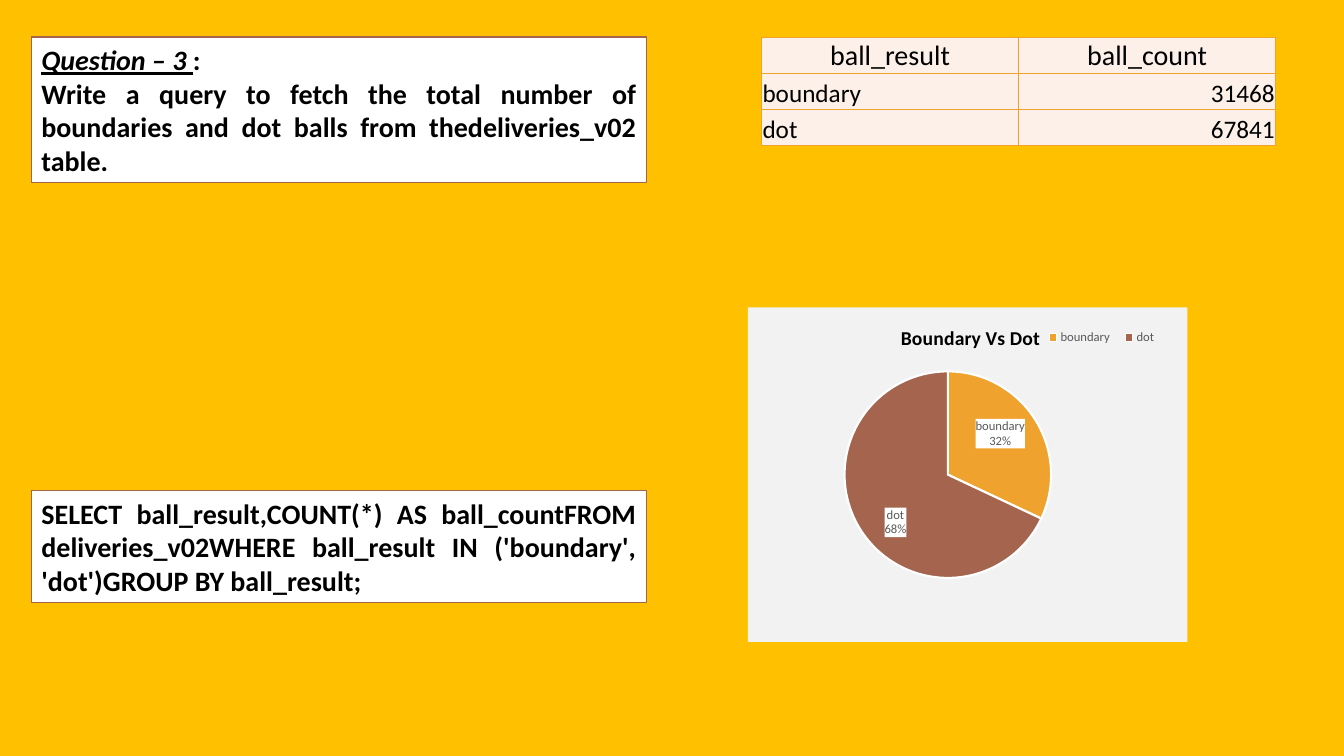
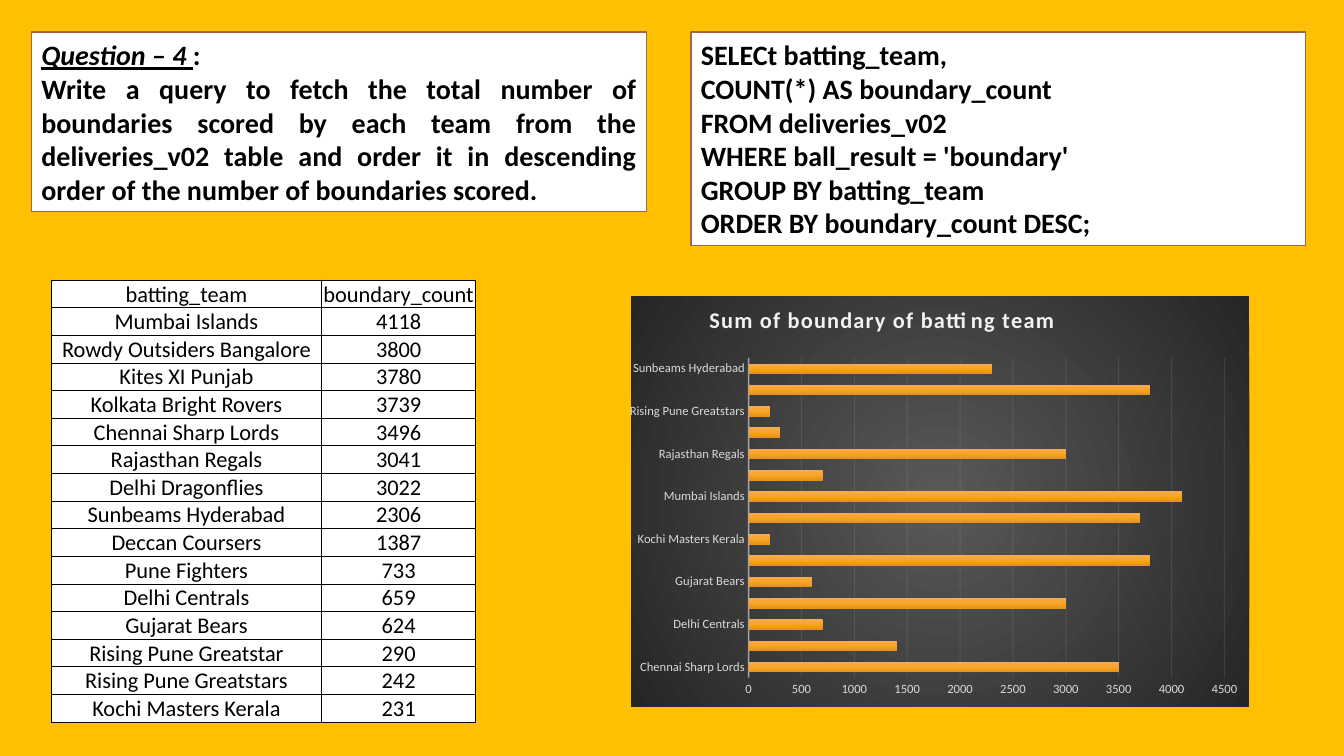
from copy import deepcopy
from pptx import Presentation
from pptx.chart.data import CategoryChartData
from pptx.dml.color import RGBColor
from pptx.enum.chart import XL_CHART_TYPE, XL_LABEL_POSITION, XL_LEGEND_POSITION, XL_TICK_MARK
from pptx.enum.shapes import MSO_SHAPE
from pptx.enum.text import MSO_ANCHOR, MSO_AUTO_SIZE, PP_ALIGN
from pptx.oxml import parse_xml
from pptx.oxml.ns import nsdecls, qn
from pptx.util import Pt

PIE, BAR = XL_CHART_TYPE.PIE, XL_CHART_TYPE.BAR_CLUSTERED
MIDDLE, RIGHT_KEY = XL_LABEL_POSITION.CENTER, XL_LEGEND_POSITION.RIGHT
NO_TICK = XL_TICK_MARK.NONE
RECT, BOTTOM, GROW = MSO_SHAPE.RECTANGLE, MSO_ANCHOR.BOTTOM, MSO_AUTO_SIZE.SHAPE_TO_FIT_TEXT
LEFT, CENTER, RIGHT, JUSTIFY = PP_ALIGN.LEFT, PP_ALIGN.CENTER, PP_ALIGN.RIGHT, PP_ALIGN.JUSTIFY

HUES = {
    "back": "FFC000", "white": "FFFFFF", "black": "000000", "brown": "A5644E",
    "gold": "F0A22E", "cream": "FCF0E8", "pale": "F2F2F2", "gray": "595959",
    "dark": "262626", "mist": "D9D9D9", "light": "F4AC55", "amber": "FAA424",
    "deep": "E59319",
}
FACE = "Calibri"
EDGE, WIDE = 22.5, 439.2

BALLS = [("boundary", 31468), ("dot", 67841)]
TEAMS = [
    ("Mumbai Islands", 4118), ("Rowdy Outsiders Bangalore", 3800),
    ("Kites XI Punjab", 3780), ("Kolkata Bright Rovers", 3739),
    ("Chennai Sharp Lords", 3496), ("Rajasthan Regals", 3041),
    ("Delhi Dragonflies", 3022), ("Sunbeams Hyderabad", 2306),
    ("Deccan Coursers", 1387), ("Pune Fighters", 733),
    ("Delhi Centrals", 659), ("Gujarat Bears", 624),
    ("Rising Pune Greatstar", 290), ("Rising Pune Greatstars", 242),
    ("Kochi Masters Kerala", 231),
]


def rgb(hue):
    return RGBColor.from_string(HUES[hue])


def style(font, size, hue="black", bold=False):
    font.name, font.size, font.bold = FACE, Pt(size), bold
    font.color.rgb = rgb(hue)


def page(deck):
    slide = deck.slides.add_slide(deck.slide_layouts[6])
    slide.background.fill.solid()
    slide.background.fill.fore_color.rgb = rgb("back")
    return slide


def panel(slide, box, lines, head=None):
    shape = slide.shapes.add_shape(RECT, *map(Pt, box))
    shape.shadow.inherit = False
    shape.fill.solid()
    shape.fill.fore_color.rgb = rgb("white")
    shape.line.color.rgb = rgb("brown")
    shape.line.width = Pt(1)
    frame = shape.text_frame
    frame.word_wrap, frame.auto_size = True, GROW
    rows = ([head] if head else []) + lines
    for spot, text in enumerate(rows):
        para = frame.add_paragraph() if spot else frame.paragraphs[0]
        para.alignment = JUSTIFY
        style(para.font, 20, bold=True)
        run = para.add_run()
        run.text = text
        if head and spot == 0:
            run.font.italic = run.font.underline = True
            para.add_run().text = ": "


def border(cell, hue, width):
    props = cell._tc.get_or_add_tcPr()
    for side in ("lnL", "lnR", "lnT", "lnB"):
        props.append(parse_xml(
            f'<a:{side} {nsdecls("a")} w="{Pt(width)}"><a:solidFill>'
            f'<a:srgbClr val="{HUES[hue]}"/></a:solidFill></a:{side}>'))


def grid(slide, box, cols, rows, sizes, aligns, fill, line):
    frame = slide.shapes.add_table(len(rows), len(cols), *map(Pt, box))
    table = frame.table
    table.first_row = table.horz_banding = False
    for col, width in zip(table.columns, cols):
        col.width = Pt(width)
    for r, row in enumerate(rows):
        table.rows[r].height = Pt(box[3] / len(rows))
        for c, value in enumerate(row):
            cell = table.cell(r, c)
            cell.vertical_anchor = BOTTOM
            cell.margin_left = cell.margin_right = Pt(0.7)
            cell.margin_top = Pt(0.5)
            cell.margin_bottom = 0
            border(cell, *line)
            cell.fill.solid()
            cell.fill.fore_color.rgb = rgb(fill)
            cell.text = str(value)
            para = cell.text_frame.paragraphs[0]
            para.alignment = aligns[c] if r else CENTER
            style(para.font, sizes[min(r, 1)])


def place(node, spot, box, edge=True, inner=False):
    for old in node.findall(qn("c:layout")):
        node.remove(old)
    bits = '<c:layoutTarget val="inner"/>' if inner else ""
    if edge:
        bits += '<c:xMode val="edge"/><c:yMode val="edge"/>'
    bits += "".join(f'<c:{key} val="{val}"/>' for key, val in zip("xywh", box))
    node.insert(spot, parse_xml(
        f'<c:layout {nsdecls("c")}><c:manualLayout>{bits}</c:manualLayout></c:layout>'))


def paint(node, fill):
    node.addnext(parse_xml(
        f'<c:spPr {nsdecls("c", "a")}>{fill}<a:ln><a:noFill/></a:ln></c:spPr>'))


def blend(hues, way):
    step = 100000 // (len(hues) - 1)
    stops = "".join(f'<a:gs pos="{spot * step}"><a:srgbClr val="{HUES[hue]}"/></a:gs>'
                    for spot, hue in enumerate(hues))
    return f'<a:gradFill><a:gsLst>{stops}</a:gsLst>{way}</a:gradFill>'


def fade(node, share):
    for hue in node.iter(qn("a:srgbClr")):
        hue.append(parse_xml(f'<a:alpha {nsdecls("a")} val="{share * 1000}"/>'))


def graph(slide, kind, box, pairs, title, size, hue, spot, plot, back):
    data = CategoryChartData()
    data.categories = [name for name, _ in pairs]
    data.add_series("Series 1", [value for _, value in pairs])
    chart = slide.shapes.add_chart(kind, *map(Pt, box), data).chart
    style(chart.font, 10)
    chart.has_title = True
    frame = chart.chart_title.text_frame
    frame.text = title
    style(frame.paragraphs[0].font, size, hue, True)
    root = chart.element.find(qn("c:chart"))
    place(root.find(qn("c:title")), 1, spot)
    place(root.find(qn("c:plotArea")), 0, plot, inner=True)
    paint(root, back)
    return chart, root


def pie(slide, box):
    back = f'<a:solidFill><a:srgbClr val="{HUES["pale"]}"/></a:solidFill>'
    total = sum(count for _, count in BALLS)
    shares = [(name, round(100 * count / total)) for name, count in BALLS]
    chart, root = graph(slide, PIE, box, shares, "Boundary Vs Dot", 14, "black",
                        (0.34, 0.04), (0.22, 0.11, 0.47, 0.78), back)
    chart.has_legend = True
    chart.legend.position = RIGHT_KEY
    chart.legend.include_in_layout = False
    style(chart.legend.font, 9, "gray")
    place(root.find(qn("c:legend")), 1, (0.66, 0.05, 0.29, 0.08))
    plot = chart.plots[0]
    plot.vary_by_categories = True
    series = plot.series[0]
    for spot, hue in enumerate(("gold", "brown")):
        look = series.points[spot].format
        look.fill.solid()
        look.fill.fore_color.rgb = rgb(hue)
        look.line.color.rgb = rgb("white")
        look.line.width = Pt(1.5)
    tags = series.data_labels
    tags.show_value = False
    tags.show_category_name = tags.show_percentage = True
    tags.position = MIDDLE
    style(tags.font, 9, "gray")
    node = next(root.iter(qn("c:dLbls")))
    paper = f'<a:solidFill><a:srgbClr val="{HUES["white"]}"/></a:solidFill>'
    node.insert(0, parse_xml(f'<c:spPr {nsdecls("c", "a")}>{paper}</c:spPr>'))
    for old in node.findall(qn("c:showLeaderLines")):
        node.remove(old)
    node.append(parse_xml(f'<c:separator {nsdecls("c")}>\n</c:separator>'))
    parts = list(node)
    for spot, shift in enumerate(((0.02, -0.04), (-0.02, 0.06))):
        tag = parse_xml(f'<c:dLbl {nsdecls("c")}><c:idx val="{spot}"/></c:dLbl>')
        place(tag, 1, shift, edge=False)
        tag.extend(deepcopy(part) for part in parts)
        node.insert(spot, tag)


def bars(slide, box):
    way = ('<a:path path="circle"><a:fillToRect l="50000" t="50000" '
           'r="50000" b="50000"/></a:path>')
    pairs = [(name, round(count, -2)) for name, count in sorted(TEAMS)]
    chart, root = graph(slide, BAR, box, pairs,
                        "Sum of boundary of batting team", 16, "pale",
                        (0.12, 0.01), (0.19, 0.15, 0.77, 0.78),
                        blend(("gray", "dark"), way))
    for font in root.find(qn("c:title")).iter(qn("a:defRPr")):
        font.set("spc", "100")
    chart.has_legend = False
    plot = chart.plots[0]
    plot.vary_by_categories = False
    plot.gap_width, plot.overlap = 115, -20
    paint(next(root.iter(qn("c:ser"))).find(qn("c:tx")),
          blend(("light", "amber", "deep"), '<a:lin ang="5400000" scaled="0"/>'))
    names, scale = chart.category_axis, chart.value_axis
    for axis in (names, scale):
        axis.major_tick_mark = axis.minor_tick_mark = NO_TICK
        style(axis.tick_labels.font, 9, "mist")
    names.has_major_gridlines = False
    names.format.line.color.rgb = rgb("pale")
    names.format.line.width = Pt(1)
    fade(names._element.find(qn("c:spPr")), 54)
    names._element.find(qn("c:noMultiLvlLbl")).addprevious(
        parse_xml(f'<c:tickLblSkip {nsdecls("c")} val="2"/>'))
    scale.minimum_scale, scale.maximum_scale, scale.major_unit = 0, 4500, 500
    scale.format.line.fill.background()
    scale.has_major_gridlines = True
    rule = scale.major_gridlines.format.line
    rule.color.rgb = rgb("pale")
    rule.width = Pt(0.75)
    fade(next(root.iter(qn("c:majorGridlines"))), 10)


def totals(deck):
    slide = page(deck)
    panel(slide, (EDGE, 26.3, WIDE, 104),
          ["Write a query to fetch the total number of boundaries and dot balls "
           "from thedeliveries_v02 table."], "Question – 3 ")
    panel(slide, (EDGE, 350.3, WIDE, 80),
          ["SELECT ball_result,COUNT(*) AS ball_countFROM deliveries_v02WHERE "
           "ball_result IN ('boundary', 'dot')GROUP BY ball_result;"])
    grid(slide, (544, 26.5, 367.2, 77.4), (183.6, 183.6),
         [("ball_result", "ball_count")] + BALLS, (20, 18), (LEFT, RIGHT),
         "cream", ("gold", 1))
    pie(slide, (534.2, 219.6, 314, 239))


def ranking(deck):
    slide = page(deck)
    panel(slide, (EDGE, 23, WIDE, 128.2),
          ["Write a query to fetch the total number of boundaries scored by each "
           "team from the deliveries_v02 table and order it in descending order "
           "of the number of boundaries scored."], "Question – 4 ")
    panel(slide, (493.5, 22.8, WIDE, 152.6),
          ["SELECt batting_team,", "COUNT(*) AS boundary_count",
           "FROM deliveries_v02", "WHERE ball_result = 'boundary'",
           "GROUP BY batting_team", "ORDER BY boundary_count DESC;"])
    grid(slide, (36.7, 200, 303.1, 316), (193, 110.1),
         [("batting_team", "boundary_count")] + TEAMS, (16, 16),
         (CENTER, CENTER), "white", ("black", 0.5))
    bars(slide, (449.8, 211.7, 442.5, 293))


def main():
    deck = Presentation()
    deck.slide_width, deck.slide_height = Pt(960), Pt(540)
    totals(deck)
    ranking(deck)
    deck.save("out.pptx")


if __name__ == "__main__":
    main()
